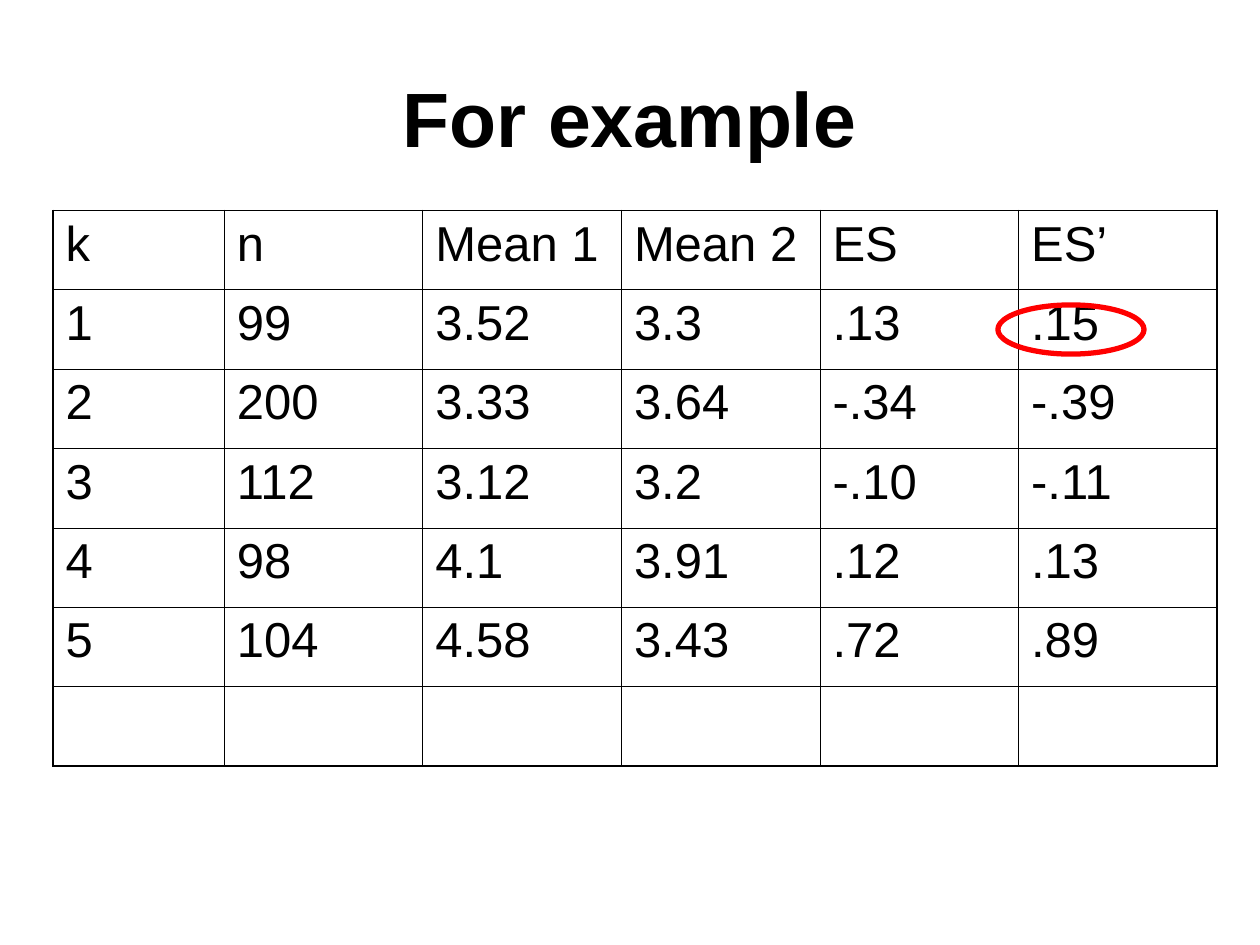
from lxml import etree
from pptx import Presentation
from pptx import util as u
from pptx.dml.color import RGBColor
from pptx.enum import shapes, text
from pptx.oxml.ns import qn

TITLE = "For example"
ROWS = [
    ("k", "n", "Mean 1", "Mean 2", "ES", "ES’"),
    ("1", "99", "3.52", "3.3", ".13", ".15"),
    ("2", "200", "3.33", "3.64", "-.34", "-.39"),
    ("3", "112", "3.12", "3.2", "-.10", "-.11"),
    ("4", "98", "4.1", "3.91", ".12", ".13"),
    ("5", "104", "4.58", "3.43", ".72", ".89"),
    ("",) * 6,
]
COLORS = {"ink": "000000", "highlight": "FF0000"}
FONT = "Arial"
LEFT, TOP, WIDTH, ROW_H = 0.42, 1.67, 9.24, 0.63
FIRST_COL = 1.36
INNER, OUTER = 0.45, 1.08


def style_font(font, size, bold=False):
    font.name = FONT
    font.size = u.Pt(size)
    font.bold = bold
    font.color.rgb = RGBColor.from_string(COLORS["ink"])


def set_borders(cell, outer_sides):
    tcPr = cell._tc.get_or_add_tcPr()
    for i, (tag, outer) in enumerate(outer_sides):
        ln = etree.Element(qn(f"a:{tag}"), w=str(u.Pt(OUTER if outer else INNER)))
        fill = etree.SubElement(ln, qn("a:solidFill"))
        etree.SubElement(fill, qn("a:srgbClr"), val=COLORS["ink"])
        tcPr.insert(i, ln)


def add_title(s):
    sp = s.shapes.add_textbox(u.Inches(0.5), u.Inches(0.3), u.Inches(9), u.Inches(1.25))
    tf = sp.text_frame
    tf.word_wrap = True
    tf.vertical_anchor = text.MSO_ANCHOR.MIDDLE
    p = tf.paragraphs[0]
    p.text = TITLE
    p.alignment = text.PP_ALIGN.CENTER
    style_font(p.runs[0].font, 44, True)


def add_results_table(s):
    n_rows, n_cols = len(ROWS), len(ROWS[0])
    frame = s.shapes.add_table(n_rows, n_cols, u.Inches(LEFT), u.Inches(TOP),
                               u.Inches(WIDTH), u.Inches(ROW_H * n_rows))
    table = frame.table
    table.first_row = table.horz_banding = False
    for c, col in enumerate(table.columns):
        col.width = u.Inches((WIDTH - FIRST_COL) / (n_cols - 1) if c else FIRST_COL)
    for r, values in enumerate(ROWS):
        table.rows[r].height = u.Inches(ROW_H)
        for c, value in enumerate(values):
            cell = table.cell(r, c)
            cell.fill.background()
            set_borders(cell, [("lnL", c == 0), ("lnR", c == n_cols - 1),
                               ("lnT", r == 0), ("lnB", r == n_rows - 1)])
            if value:
                cell.text_frame.text = value
                style_font(cell.text_frame.paragraphs[0].runs[0].font, 28)


def add_highlight(s):
    sp = s.shapes.add_shape(shapes.MSO_SHAPE.OVAL, u.Inches(7.92), u.Inches(2.42),
                            u.Inches(1.16), u.Inches(0.39))
    sp.shadow.inherit = False
    sp.fill.background()
    sp.line.color.rgb = RGBColor.from_string(COLORS["highlight"])
    sp.line.width = u.Pt(3)


def main():
    prs = Presentation()
    prs.slide_width, prs.slide_height = u.Inches(10), u.Inches(7.5)
    s = prs.slides.add_slide(prs.slide_layouts[6])
    add_title(s)
    add_results_table(s)
    add_highlight(s)
    prs.save("out.pptx")


if __name__ == "__main__":
    main()
